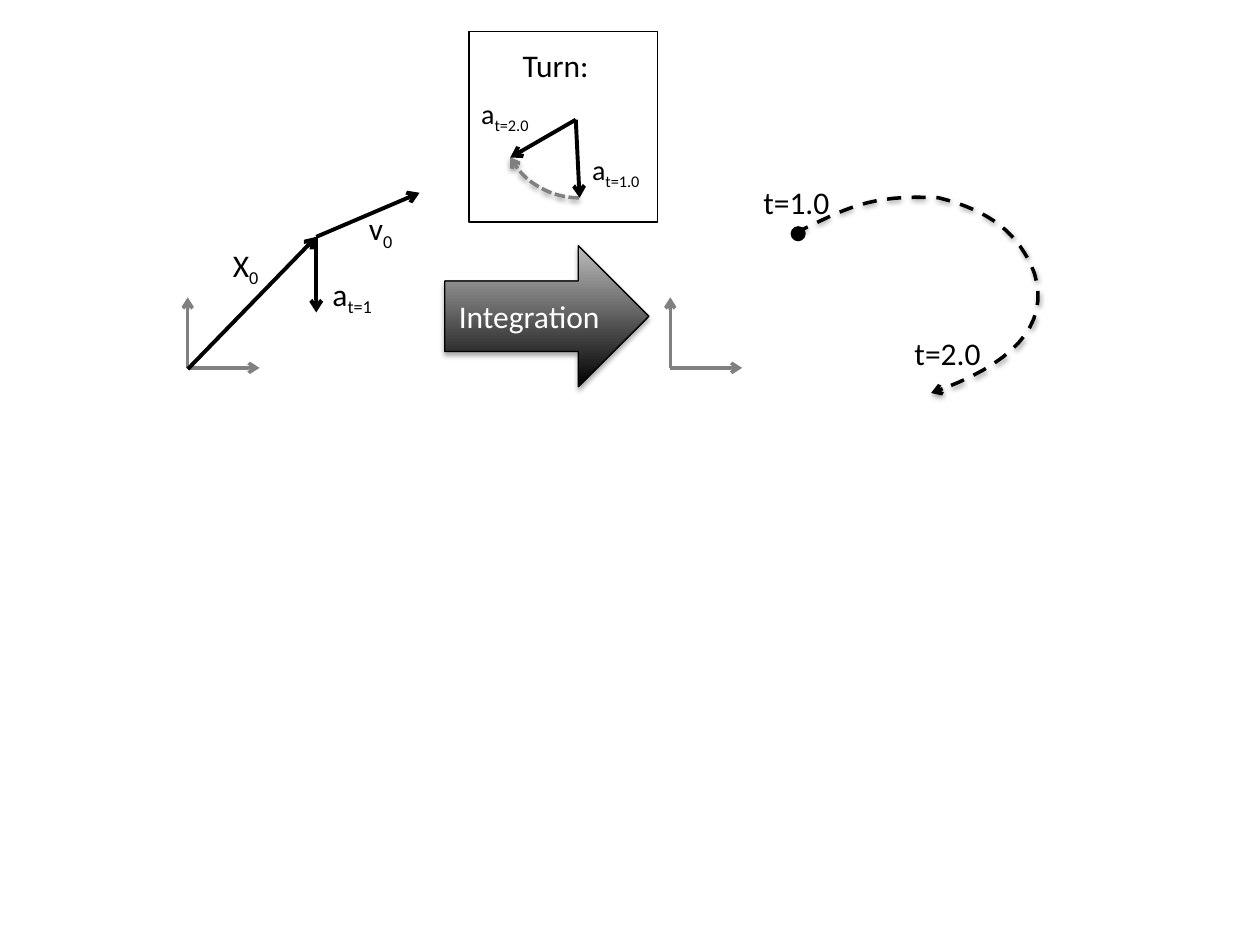
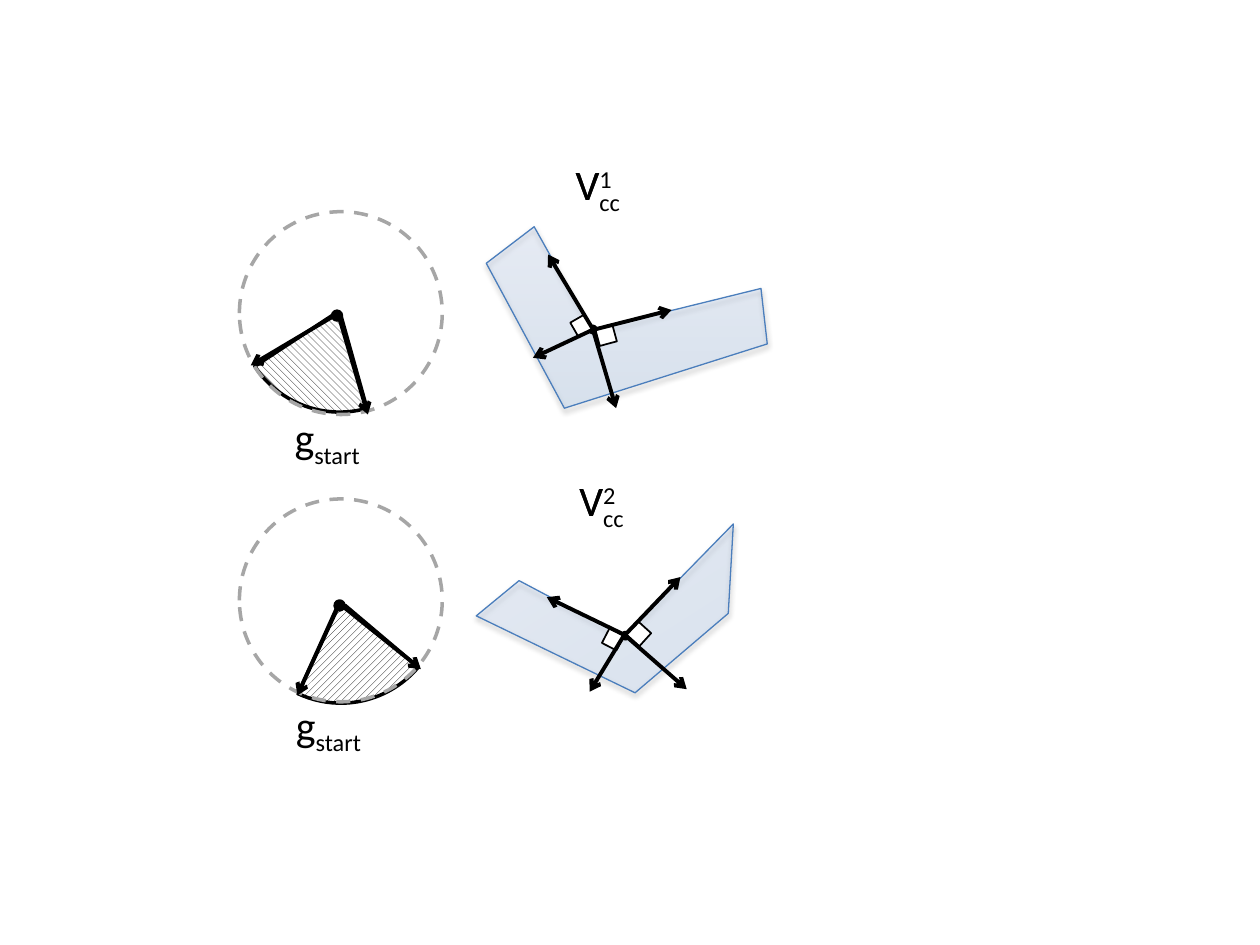
from math import cos, radians, sin

from lxml.etree import SubElement
from pptx import Presentation
from pptx.dml.color import RGBColor
from pptx.enum.dml import MSO_LINE, MSO_PATTERN
from pptx.enum.shapes import MSO_CONNECTOR, MSO_SHAPE
from pptx.enum.text import MSO_ANCHOR, MSO_AUTO_SIZE, PP_ALIGN
from pptx.oxml.ns import qn
from pptx.util import Inches, Pt

BLACK = RGBColor(0x00, 0x00, 0x00)
WHITE = RGBColor(0xFF, 0xFF, 0xFF)
GRAY = RGBColor(0x80, 0x80, 0x80)
SILVER = RGBColor(0xA6, 0xA6, 0xA6)
LIGHT_GRAY = RGBColor(0xBD, 0xBD, 0xBD)
DEEP_BLUE = RGBColor(0x3F, 0x80, 0xCE)
SKY_BLUE = RGBColor(0xA4, 0xC4, 0xFF)
EDGE_BLUE = RGBColor(0x4B, 0x7E, 0xBC)
FONT = "Calibri"
LABEL_HEIGHTS = {16: 0.37, 18: 0.4, 24: 0.5}
SUBSCRIPT, SUPERSCRIPT = -25, 30


def style_line(shape, color, width, dash=None, arrow=False):
    """Set the outline of a shape or connector, with an optional arrowhead."""
    shape.line.color.rgb = color
    shape.line.width = Pt(width)
    if dash:
        shape.line.dash_style = dash
    if arrow:
        outline = shape.element.spPr.find(qn("a:ln"))
        SubElement(outline, qn("a:tailEnd"), type="arrow")


def fill_gradient(shape, bottom, top, opacity=100):
    """Fill a shape with a vertical gradient."""
    shape.fill.gradient()
    shape.fill.gradient_angle = 90
    for stop, color, position in zip(shape.fill.gradient_stops, (bottom, top), (0, 1)):
        stop.color.rgb = color
        stop.position = position
    if opacity < 100:
        gradient = shape.element.spPr.find(qn("a:gradFill"))
        for color in gradient.iter(qn("a:srgbClr")):
            SubElement(color, qn("a:alpha"), val=str(opacity * 1000))


def add_shadow(shape, opacity=35, distance=1.8):
    """Give a shape a soft shadow that falls straight down."""
    effects = shape.element.spPr.find(qn("a:effectLst"))
    shadow = SubElement(effects, qn("a:outerShdw"), blurRad=str(Pt(3.1)),
                        dist=str(Pt(distance)), dir="5400000", rotWithShape="0")
    color = SubElement(shadow, qn("a:srgbClr"), val=str(BLACK))
    SubElement(color, qn("a:alpha"), val=str(opacity * 1000))


def add_preset(shapes, kind, box, fill=None, rotation=0, adjustments=()):
    """Add a preset shape without shadow."""
    shape = shapes.add_shape(kind, *map(Inches, box))
    shape.shadow.inherit = False
    shape.rotation = rotation
    for index, value in enumerate(adjustments):
        shape.adjustments[index] = value
    if fill is None:
        shape.fill.background()
    else:
        shape.fill.solid()
        shape.fill.fore_color.rgb = fill
    return shape


def add_dot(shapes, left, top, size, width=2, rotation=0):
    """Add a black dot."""
    dot = add_preset(shapes, MSO_SHAPE.OVAL, (left, top, size, size), BLACK, rotation)
    style_line(dot, BLACK, width)


def add_vector(shapes, start, end, color=BLACK, width=2.25):
    """Add a straight arrow."""
    vector = shapes.add_connector(MSO_CONNECTOR.STRAIGHT, *map(Inches, start + end))
    style_line(vector, color, width, arrow=True)
    SubElement(vector.element.spPr, qn("a:effectLst"))


def add_outline(shapes, points, close):
    """Add a freeform through points given in inches."""
    corners = [tuple(map(Inches, point)) for point in points]
    builder = shapes.build_freeform(*corners[0], scale=1.0)
    builder.add_line_segments(corners[1:], close=close)
    shape = builder.convert_to_shape()
    shape.shadow.inherit = False
    return shape


def format_run(run, size, color=BLACK, baseline=0):
    """Set the font of a run and raise or lower it."""
    run.font.name = FONT
    run.font.size = Pt(size)
    run.font.color.rgb = color
    if baseline:
        run._r.get_or_add_rPr().set("baseline", str(baseline * 1000))


def add_label(shapes, left, top, width, text, index="", baseline=SUBSCRIPT, size=18):
    """Add a label with an optional index."""
    box = shapes.add_textbox(*map(Inches, (left, top, width, LABEL_HEIGHTS[size])))
    frame = box.text_frame
    frame.word_wrap = True
    frame.auto_size = MSO_AUTO_SIZE.SHAPE_TO_FIT_TEXT
    frame.text = text
    paragraph = frame.paragraphs[0]
    format_run(paragraph.runs[0], size)
    if index:
        run = paragraph.add_run()
        run.text = index
        format_run(run, size, baseline=baseline)


def add_axes(slide, left, bottom):
    """Add a grouped pair of coordinate axes."""
    shapes = slide.shapes.add_group_shape().shapes
    for end in ((left, bottom - 0.56), (left + 0.57, bottom)):
        add_vector(shapes, (left, bottom), end, GRAY, 2)


def bezier_points(start, control_1, control_2, end, steps=16):
    """Return points along a cubic curve, without its start."""
    points = []
    for step in range(1, steps + 1):
        t = step / steps
        weights = ((1 - t) ** 3, 3 * t * (1 - t) ** 2, 3 * t * t * (1 - t), t ** 3)
        corners = (start, control_1, control_2, end)
        points.append(tuple(sum(w * corner[axis] for w, corner in zip(weights, corners))
                            for axis in (0, 1)))
    return points


def add_trajectory(shapes, start, curves):
    """Add a dashed curved path that ends in an arrowhead."""
    points = [start]
    for curve in curves:
        points += bezier_points(points[-1], *curve)
    path = add_outline(shapes, points, close=False)
    path.fill.background()
    style_line(path, BLACK, 2, MSO_LINE.DASH, arrow=True)
    add_shadow(path, 38, 1.6)


def add_integration_arrow(shapes):
    """Add the block arrow between start state and trajectory."""
    arrow = add_preset(shapes, MSO_SHAPE.RIGHT_ARROW, (3.53, 1.95, 1.62, 1.12))
    fill_gradient(arrow, BLACK, LIGHT_GRAY)
    style_line(arrow, BLACK, 0.75)
    add_shadow(arrow)
    arrow.text_frame.text = "Integration"
    arrow.text_frame.vertical_anchor = MSO_ANCHOR.MIDDLE
    paragraph = arrow.text_frame.paragraphs[0]
    paragraph.alignment = PP_ALIGN.CENTER
    format_run(paragraph.runs[0], 18, WHITE)


def add_turn_panel(slide):
    """Add the framed panel with the turning acceleration."""
    shapes = slide.shapes.add_group_shape().shapes
    frame = add_preset(shapes, MSO_SHAPE.RECTANGLE, (3.72, 0.25, 1.5, 1.51))
    style_line(frame, BLACK, 1)
    arc = add_preset(shapes, MSO_SHAPE.ARC, (3.97, 0.32, 1.25, 1.25),
                     rotation=180, adjustments=(162, 198.723))
    style_line(arc, GRAY, 2, MSO_LINE.SQUARE_DOT, arrow=True)
    add_shadow(arc, 38, 1.6)
    for end in ((4.6, 1.57), (4.05, 1.25)):
        add_vector(shapes, (4.57, 0.95), end)
    add_label(shapes, 4.6, 1.16, 0.62, "a", "t=1.0", size=16)
    add_label(shapes, 3.72, 0.72, 0.68, "a", "t=2.0", size=16)
    add_label(shapes, 4.05, 0.32, 0.82, "Turn:")


def build_integration_slide(slide):
    """Show how the start state is integrated into a trajectory."""
    shapes = slide.shapes
    add_axes(slide, 1.49, 2.92)
    corner = (2.51, 1.88)
    add_vector(shapes, (1.49, 2.93), corner)
    for end in ((3.33, 1.53), (2.51, 2.48)):
        add_vector(shapes, corner, end)
    add_label(shapes, 1.75, 1.9, 0.44, "X", "0")
    add_label(shapes, 2.83, 1.61, 0.44, "v", "0")
    add_label(shapes, 2.54, 2.13, 0.58, "a", "t=1")
    add_axes(slide, 5.32, 2.92)
    add_integration_arrow(shapes)
    add_dot(shapes, 6.28, 1.8, 0.11, 0.75)
    add_trajectory(shapes, (6.31, 1.85), (
        ((6.71, 1.66), (6.89, 1.54), (7.45, 1.57)),
        ((7.85, 1.67), (8.09, 1.85), (8.21, 2.17)),
        ((8.34, 2.59), (8.02, 2.9), (7.39, 3.12))))
    add_label(shapes, 5.96, 1.4, 0.81, "t=1.0")
    add_label(shapes, 7.16, 2.6, 0.74, "t=2.0")
    add_turn_panel(slide)


def add_sector(shapes, left, top, rotation, start_angle, pattern):
    """Add a hatched sector of the direction circle."""
    sector = add_preset(shapes, MSO_SHAPE.BLOCK_ARC, (left, top, 1.61, 1.61),
                        rotation=rotation, adjustments=(start_angle, 142.045, 0.474))
    sector.fill.patterned()
    sector.fill.pattern = pattern
    sector.fill.fore_color.rgb = BLACK
    sector.fill.back_color.rgb = WHITE
    style_line(sector, BLACK, 2)


def add_direction_circle(shapes, top, vectors, dot, label):
    """Add a dashed circle with its two limiting directions."""
    circle = add_preset(shapes, MSO_SHAPE.OVAL, (1.9, top, 1.61, 1.61))
    style_line(circle, SILVER, 2, MSO_LINE.DASH)
    for start, end in vectors:
        add_vector(shapes, start, end)
    add_dot(shapes, *dot)
    add_label(shapes, *label, 0.97, "g", "start", size=24)


def rotate_points(points, center, degrees):
    """Turn points clockwise about a center."""
    cosine, sine = cos(radians(degrees)), sin(radians(degrees))
    offsets = [(x - center[0], y - center[1]) for x, y in points]
    return [(center[0] + x * cosine - y * sine, center[1] + x * sine + y * cosine)
            for x, y in offsets]


def add_region(shapes, points, center=(0, 0), rotation=0):
    """Add a translucent blue region, turned about its center."""
    region = add_outline(shapes, rotate_points(points, center, -rotation), close=True)
    region.rotation = rotation
    fill_gradient(region, DEEP_BLUE, SKY_BLUE, opacity=15)
    style_line(region, EDGE_BLUE, 0.75)
    add_shadow(region)


def add_corner(shapes, dot, right_angles, vectors):
    """Add a corner point with its vectors and right-angle marks."""
    add_dot(shapes, *dot)
    for left, top, size, rotation in right_angles:
        mark = add_preset(shapes, MSO_SHAPE.RECTANGLE, (left, top, size, size),
                          WHITE, rotation)
        style_line(mark, BLACK, 1)
    for start, end in vectors:
        add_vector(shapes, start, end)


def add_corner_name(shapes, left, top, number):
    """Add the letter V with both an upper and a lower index."""
    add_label(shapes, left, top, 0.85, "V", number, SUPERSCRIPT, 24)
    add_label(shapes, left, top, 0.85, "V", "cc", SUBSCRIPT, 24)


def build_corner_slide(slide):
    """Show two corners beside their ranges of start directions."""
    shapes = slide.shapes
    add_sector(shapes, 1.9, 3.97, 238.3, 97.126, MSO_PATTERN.WIDE_UPWARD_DIAGONAL)
    add_sector(shapes, 1.89, 1.66, 270, 98.608, MSO_PATTERN.WIDE_DOWNWARD_DIAGONAL)
    add_region(shapes, [(4.7, 2.62), (6.04, 2.29), (6.09, 2.73),
                        (4.48, 3.24), (3.86, 2.09), (4.24, 1.8)])
    add_corner(shapes, (4.68, 2.59, 0.05),
               [(4.74, 2.59, 0.14, 344.8), (4.55, 2.52, 0.13, 330.1)],
               [((4.71, 2.62), (4.35, 2.02)), ((4.7, 2.62), (5.33, 2.46)),
                ((4.71, 2.63), (4.89, 3.24)), ((4.72, 2.61), (4.23, 2.84))])
    add_corner_name(shapes, 4.47, 1.21, "1")
    add_region(shapes, [(4.95, 5.05), (5.82, 4.16), (5.78, 4.87),
                        (5.04, 5.5), (3.78, 4.89), (4.12, 4.61)], (4.98, 4.8), 327.3)
    add_corner(shapes, (4.94, 5.02, 0.05, 2, 327.3),
               [(5, 4.96, 0.14, 312.1), (4.8, 5.01, 0.13, 297.4)],
               [((4.96, 5.04), (4.34, 4.74)), ((4.95, 5.05), (5.4, 4.58)),
                ((4.97, 5.05), (5.45, 5.47)), ((4.96, 5.03), (4.68, 5.49))])
    add_corner_name(shapes, 4.5, 3.72, "2")
    add_direction_circle(shapes, 1.68, [((2.68, 2.48), (2.92, 3.29)),
                                        ((2.68, 2.49), (1.99, 2.9))],
                         (2.64, 2.47, 0.07), (2.24, 3.22))
    add_direction_circle(shapes, 3.96, [((2.68, 4.78), (3.34, 5.31)),
                                        ((2.69, 4.79), (2.36, 5.52))],
                         (2.66, 4.77, 0.07, 2, 325.5), (2.25, 5.5))


def main():
    """Build and save the presentation."""
    presentation = Presentation()
    presentation.slide_width = Inches(10)
    presentation.slide_height = Inches(7.5)
    blank_layout = presentation.slide_layouts[6]
    for build_slide in (build_integration_slide, build_corner_slide):
        build_slide(presentation.slides.add_slide(blank_layout))
    presentation.save("out.pptx")


main()
